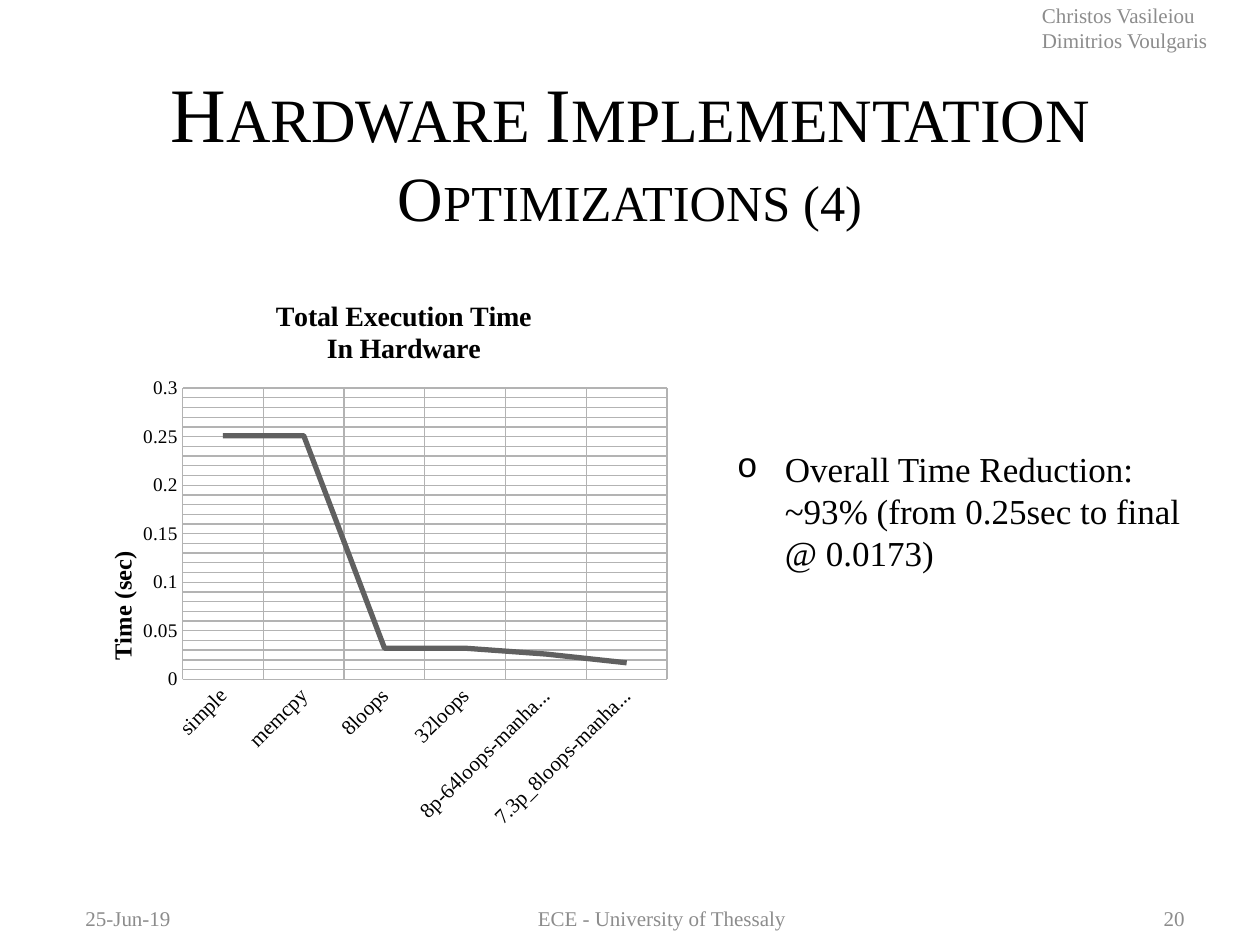
from copy import deepcopy
from dataclasses import dataclass
from lxml import etree
from pptx import Presentation
from pptx.chart.data import CategoryChartData
from pptx.dml.color import RGBColor as RGB
from pptx.enum.chart import XL_CHART_TYPE as Kind, XL_TICK_MARK as Tick
from pptx.enum.text import MSO_ANCHOR as Anchor, PP_ALIGN as Align
from pptx.oxml import parse_xml
from pptx.oxml.ns import nsdecls, qn
from pptx.util import Inches, Pt


@dataclass(frozen=True)
class Theme:
    font: str = "Times New Roman"
    ink: RGB = RGB(0, 0, 0)
    muted: RGB = RGB(0x8C, 0x8C, 0x8C)
    grid: RGB = RGB(0xB3, 0xB3, 0xB3)
    line: RGB = RGB(0x60, 0x60, 0x60)
    head: int = 44
    sub: int = 36
    body: int = 20
    note: int = 12
    title: int = 16
    label: int = 14
    tick: int = 11


T = Theme()


def put(obj, **vals):
    for key, val in vals.items():
        setattr(obj, key, val)


def style(font, size, color=T.ink, bold=False):
    put(font, name=T.font, size=Pt(size), bold=bold)
    font.color.rgb = color


def frame(slide, box, anchor=Anchor.MIDDLE):
    text = slide.shapes.add_textbox(*map(Inches, box)).text_frame
    put(text, word_wrap=True, vertical_anchor=anchor)
    return text


def note(slide, box, lines, align=Align.LEFT):
    text = frame(slide, box)
    text.text = "\n".join(lines)
    for para in text.paragraphs:
        para.alignment = align
        style(para.runs[0].font, T.note, T.muted)


def heading(slide, box, parts):
    para = frame(slide, box).paragraphs[0]
    para.alignment = Align.CENTER
    for i, (words, size) in enumerate(parts):
        if i:
            para.add_line_break()
        run = para.add_run()
        run.text = words
        style(run.font, size)
        run._r.get_or_add_rPr().set("cap", "small")


def bullet(slide, box, words):
    para = frame(slide, box, Anchor.TOP).paragraphs[0]
    para.space_before = Pt(6.7)
    run = para.add_run()
    run.text = words
    style(run.font, T.body)
    props = para._p.get_or_add_pPr()
    indent = Inches(0.38)
    props.set("marL", str(indent))
    props.set("indent", str(-indent))
    etree.SubElement(props, qn("a:buFont")).set("typeface", "Courier New")
    etree.SubElement(props, qn("a:buChar")).set("char", "o")


def layout(**vals):
    """Manual chart layout, as fractions of the chart."""
    modes = {"xMode": "edge", "yMode": "edge"}
    if "w" in vals:
        modes = {"layoutTarget": "inner", **modes}
    items = "".join(f'<c:{k} val="{v}"/>' for k, v in {**modes, **vals}.items())
    return parse_xml(f'<c:layout {nsdecls("c")}><c:manualLayout>{items}'
                     "</c:manualLayout></c:layout>")


def caption(title, words, size, x, y):
    title.text_frame.text = words
    for para in title.text_frame.paragraphs:
        style(para.runs[0].font, size, bold=True)
    elem = title._element
    for old in elem.findall(qn("c:layout")):
        elem.remove(old)
    elem.find(qn("c:tx")).addnext(layout(x=x, y=y))


def timing(slide, box, points):
    data = CategoryChartData()
    data.categories = list(points)
    data.add_series("Series 1", points.values())
    chart = slide.shapes.add_chart(Kind.LINE, *map(Inches, box), data).chart
    chart.has_legend = False
    caption(chart.chart_title, "Total Execution Time\nIn Hardware", T.title, 0.29, 0.04)

    # Axes and grid
    cat, val = chart.category_axis, chart.value_axis
    for axis, size in ((cat, T.note), (val, T.tick)):
        put(axis, major_tick_mark=Tick.NONE, minor_tick_mark=Tick.NONE,
            has_major_gridlines=True)
        style(axis.tick_labels.font, size)
        axis.format.line.color.rgb = T.grid
        axis.major_gridlines.format.line.color.rgb = T.grid
    put(val, minimum_scale=0, maximum_scale=0.3, major_unit=0.05,
        minor_unit=0.01, has_minor_gridlines=True)
    major, minor = (val._element.find(qn(f"c:{k}Gridlines")) for k in ("major", "minor"))
    minor.append(deepcopy(major.find(qn("c:spPr"))))
    put(val.tick_labels, number_format="General", number_format_is_linked=False)
    caption(val.axis_title, "Time (sec)", T.label, 0.02, 0.49)
    val.axis_title._element.find(".//" + qn("a:bodyPr")).set("rot", "-5400000")
    cat._element.find(qn("c:txPr")).find(qn("a:bodyPr")).set("rot", "-2700000")

    # Plot area and line
    area = chart._chartSpace.chart.plotArea
    for old in area.findall(qn("c:layout")):
        area.remove(old)
    area.insert(0, layout(x=0.148, y=0.206, w=0.769, h=0.523))
    line = chart.plots[0].series[0]
    line.smooth = False
    line.format.line.color.rgb = T.line
    line.format.line.width = Pt(3)


def main():
    deck = Presentation()
    put(deck, slide_width=Inches(10), slide_height=Inches(7.5))
    slide = deck.slides.add_slide(deck.slide_layouts[6])

    # Header and footer
    note(slide, (8.17, 0.02, 1.75, 0.4), ["Christos Vasileiou", "Dimitrios Voulgaris"])
    note(slide, (7.17, 7.09, 2.33, 0.4), ["20"], Align.RIGHT)
    note(slide, (0.58, 7.09, 1, 0.4), ["25-Jun-19"])
    note(slide, (4.17, 7.09, 2.25, 0.4), ["ECE - University of Thessaly"])

    # Title, chart and finding
    heading(slide, (0.5, 0.3, 9, 1.78),
            [("Hardware Implementation", T.head), ("Optimizations (4)", T.sub)])
    timing(slide, (0.71, 2.17, 5, 4.42), {
        "simple": 0.251, "memcpy": 0.251, "8loops": 0.032, "32loops": 0.032,
        "8p-64loops-manhattan": 0.026, "7.3p_8loops-manhattan": 0.017})
    bullet(slide, (5.75, 3.5, 3.79, 1.55),
           "Overall Time Reduction: ~93% (from 0.25sec to final @ 0.0173)")
    deck.save("out.pptx")


if __name__ == "__main__":
    main()
